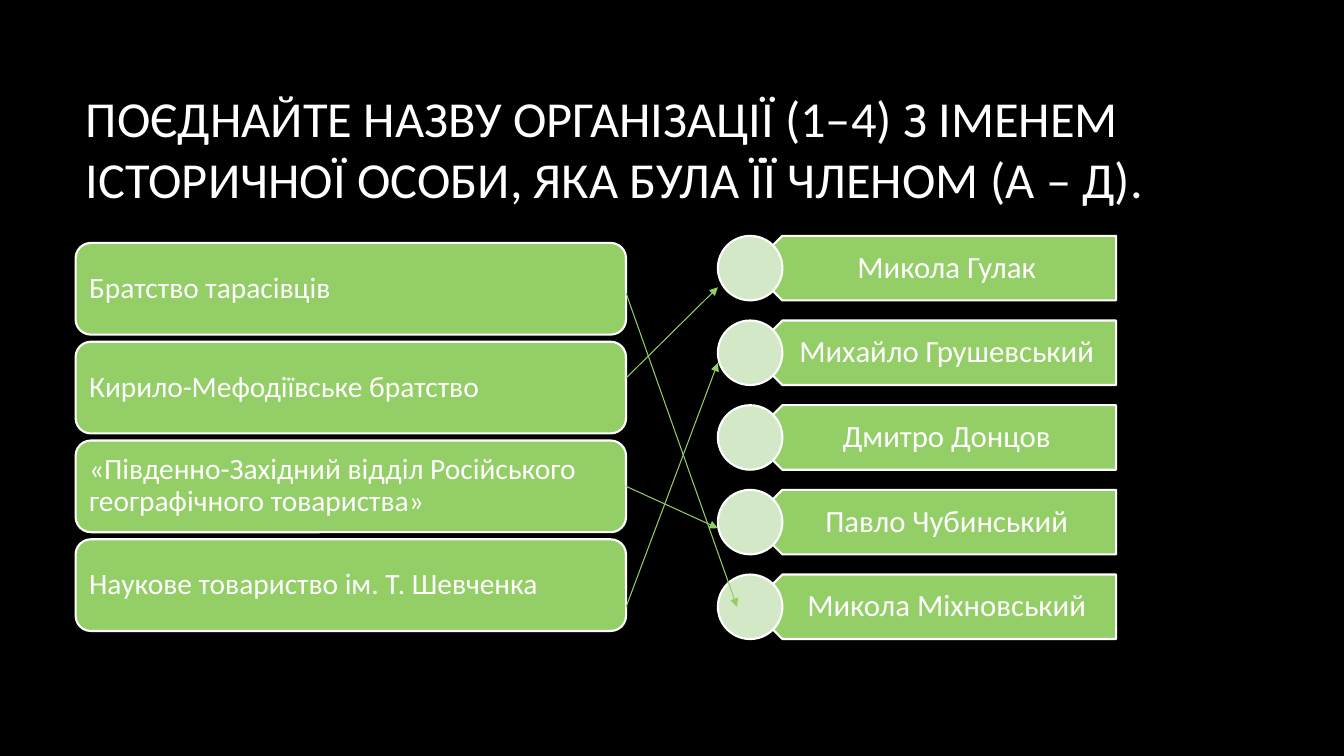
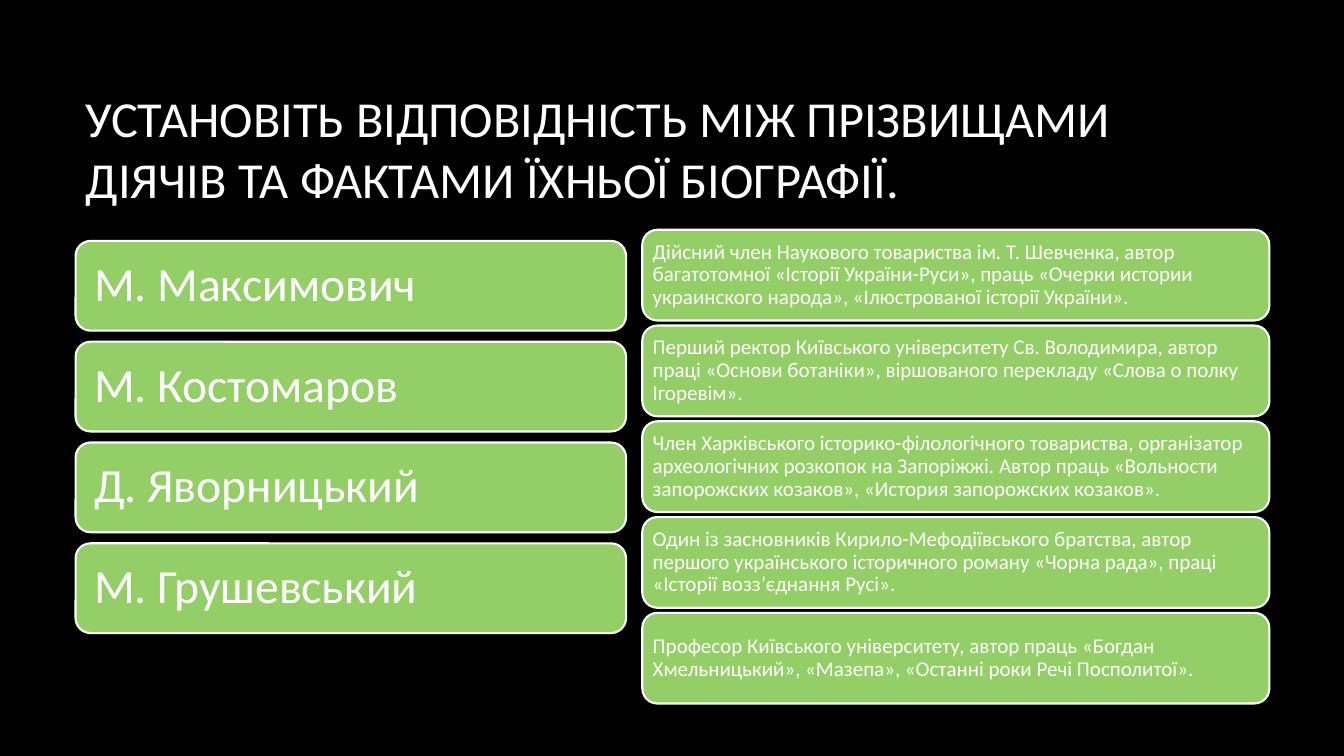
from lxml import etree
from pptx import Presentation
from pptx.dml.color import RGBColor
from pptx.enum.shapes import MSO_CONNECTOR, MSO_SHAPE
from pptx.enum.text import MSO_ANCHOR, PP_ALIGN
from pptx.oxml.ns import qn
from pptx.util import Inches, Pt

ROUND = MSO_SHAPE.ROUNDED_RECTANGLE
ARROW = MSO_SHAPE.PENTAGON
OVAL = MSO_SHAPE.OVAL
LINE = MSO_CONNECTOR.STRAIGHT
MIDDLE = MSO_ANCHOR.MIDDLE
LEFT, CENTER = PP_ALIGN.LEFT, PP_ALIGN.CENTER

FONT = "Calibri"
BLACK, WHITE, GREEN, PALE = "000000", "FFFFFF", "94CE67", "D2E8C7"


def color(code):
    return RGBColor.from_string(code)


class Deck:
    def __init__(self):
        self.file = Presentation()
        self.file.slide_width = Inches(13.33)
        self.file.slide_height = Inches(7.5)
        fill = self.file.slide_master.background.fill
        fill.solid()
        fill.fore_color.rgb = color(BLACK)
        self.slide = None

    def start(self, title):
        self.slide = self.file.slides.add_slide(self.file.slide_layouts[5])
        head = self.slide.shapes.title
        head.left, head.top = Inches(0.75), Inches(0.67)
        head.width, head.height = Inches(11.08), Inches(1.59)
        self.label(head, title, 36, LEFT, (0.1, 0.05, 0.1, 0.05), 1.0)

    def label(self, shape, text, size, align, pad, space=0.9):
        frame = shape.text_frame
        frame.text = text
        frame.word_wrap = True
        frame.vertical_anchor = MIDDLE
        frame.margin_left, frame.margin_top, frame.margin_right, frame.margin_bottom = map(Inches, pad)
        para = frame.paragraphs[0]
        para.alignment = align
        para.line_spacing = space
        font = para.runs[0].font
        font.name = FONT
        font.size = Pt(size)
        font.color.rgb = color(WHITE)

    def shape(self, kind, left, top, width, height, fill=GREEN):
        item = self.slide.shapes.add_shape(kind, Inches(left), Inches(top), Inches(width), Inches(height))
        item.shadow.inherit = False
        item.fill.solid()
        item.fill.fore_color.rgb = color(fill)
        item.line.color.rgb = color(WHITE)
        item.line.width = Pt(1.5)
        return item

    def cards(self, texts, left, top, width, height, step, size, pad):
        cards = []
        for row, text in enumerate(texts):
            card = self.shape(ROUND, left, top + row * step, width, height)
            self.label(card, text, size, LEFT, (pad,) * 4)
            cards.append(card)
        return cards

    def names(self, texts, left, top, width, height, step):
        for row, text in enumerate(texts):
            y = top + row * step
            tag = self.shape(ARROW, left + height / 2, y, width, height)
            tag._element.spPr.xfrm.set("flipH", "1")
            self.label(tag, text, 22, CENTER, (0.28, 0.09, 0.17, 0.09))
            self.shape(OVAL, left, y, height, height, PALE)

    def link(self, start, end):
        points = [Inches(n) for n in start + end]
        link = self.slide.shapes.add_connector(LINE, *points)
        link.line.color.rgb = color(GREEN)
        link.line.width = Pt(0.75)
        props = link._element.spPr
        etree.SubElement(props.find(qn("a:ln")), qn("a:tailEnd"), type="triangle")
        etree.SubElement(props, qn("a:effectLst"))
        return link


def match_groups(deck):
    deck.start("ПОЄДНАЙТЕ НАЗВУ ОРГАНІЗАЦІЇ (1–4) З ІМЕНЕМ ІСТОРИЧНОЇ ОСОБИ, ЯКА БУЛА ЇЇ ЧЛЕНОМ (А – Д).")
    groups = deck.cards([
        "Братство тарасівців",
        "Кирило-Мефодіївське братство",
        "«Південно-Західний відділ Російського географічного товариства»",
        "Наукове товариство ім. Т. Шевченка",
    ], 0.75, 2.41, 5.46, 0.91, 0.98, 21, 0.09)
    deck.names([
        "Микола Гулак",
        "Михайло Грушевський",
        "Дмитро Донцов",
        "Павло Чубинський",
        "Микола Міхновський",
    ], 7.12, 2.34, 3.63, 0.64, 0.84)
    edge = 6.21
    deck.link((edge, 2.91), (7.31, 6.02))
    deck.link((edge, 3.75), (7.12, 2.85))
    deck.link((edge, 4.82), (7.12, 5.24)).begin_connect(groups[2], 3)
    deck.link((edge, 6.02), (7.12, 3.6))


def match_facts(deck):
    deck.start("УСТАНОВІТЬ ВІДПОВІДНІСТЬ МІЖ ПРІЗВИЩАМИ ДІЯЧІВ ТА ФАКТАМИ ЇХНЬОЇ БІОГРАФІЇ.")
    deck.cards([
        "М. Максимович",
        "М. Костомаров",
        "Д. Яворницький",
        "М. Грушевський",
    ], 0.75, 2.39, 5.46, 0.89, 1.0, 34, 0.14)
    deck.cards([
        "Дійсний член Наукового товариства ім. Т. Шевченка, автор багатотомної «Історії України-Руси», "
        "праць «Очерки истории украинского народа», «Ілюстрованої історії України».",
        "Перший ректор Київського університету Св. Володимира, автор праці «Основи ботаніки», "
        "віршованого перекладу «Слова о полку Ігоревім».",
        "Член Харківського історико-філологічного товариства, організатор археологічних розкопок "
        "на Запоріжжі. Автор праць «Вольности запорожских козаков», «История запорожских козаков».",
        "Один із засновників Кирило-Мефодіївського братства, автор першого українського історичного "
        "роману «Чорна рада», праці «Історії возз’єднання Русі».",
        "Професор Київського університету, автор праць «Богдан Хмельницький», «Мазепа», "
        "«Останні роки Речі Посполитої».",
    ], 6.37, 2.28, 6.22, 0.9, 0.95, 15, 0.06)


def main():
    deck = Deck()
    match_groups(deck)
    match_facts(deck)
    deck.file.save("out.pptx")


if __name__ == "__main__":
    main()
